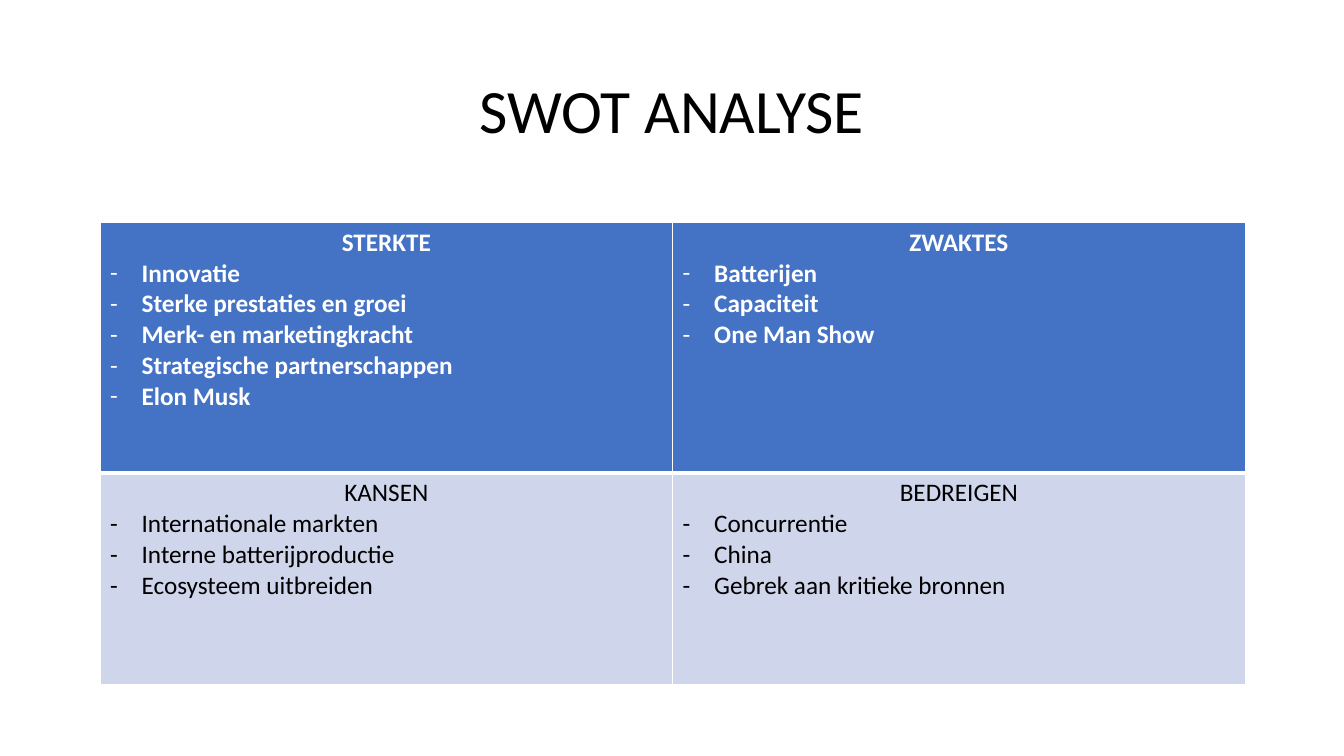
from dataclasses import dataclass

from lxml.etree import SubElement
from pptx import Presentation
from pptx.dml.color import RGBColor
from pptx.enum.text import MSO_ANCHOR, PP_ALIGN
from pptx.oxml.ns import qn
from pptx.slide import Slide
from pptx.table import _Cell
from pptx.text.text import _Paragraph
from pptx.util import Pt

COLORS = {"white": "FFFFFF", "black": "000000", "blue": "4472C4", "pale": "CFD5EA"}
FONT = "Calibri"
INDENT = Pt(22.5)
THIN, THICK = Pt(1), Pt(3)
COLUMN_WIDTH = Pt(409)


@dataclass(frozen=True)
class Quadrant:
    """One field of the SWOT grid."""
    heading: str
    points: tuple[str, ...]


@dataclass(frozen=True)
class Band:
    """One row of the SWOT grid with its look."""
    height: Pt
    fill: str
    color: str
    bold: bool
    borders: dict[str, Pt]
    quadrants: tuple[Quadrant, Quadrant]


BANDS = (
    Band(Pt(179), "blue", "white", True,
         {"lnL": THIN, "lnR": THIN, "lnT": THIN, "lnB": THICK},
         (Quadrant("STERKTE", ("Innovatie", "Sterke prestaties en groei",
                               "Merk- en marketingkracht",
                               "Strategische partnerschappen", "Elon Musk")),
          Quadrant("ZWAKTES", ("Batterijen", "Capaciteit", "One Man Show")))),
    Band(Pt(151), "pale", "black", False,
         {"lnL": THIN, "lnR": THIN, "lnT": THICK, "lnB": THIN},
         (Quadrant("KANSEN", ("Internationale markten", "Interne batterijproductie",
                              "Ecosysteem uitbreiden")),
          Quadrant("BEDREIGEN", ("Concurrentie", "China",
                                 "Gebrek aan kritieke bronnen")))),
)


def style_text(para: _Paragraph, size: Pt, color: str, bold: bool = False) -> None:
    """Set the font of a whole paragraph."""
    font = para.font
    font.name, font.size, font.bold = FONT, size, bold
    font.color.rgb = RGBColor.from_string(COLORS[color])


def add_dash(para: _Paragraph) -> None:
    """Give a paragraph a hanging dash bullet."""
    properties = para._p.get_or_add_pPr()
    properties.set("marL", str(INDENT))
    properties.set("indent", str(-INDENT))
    SubElement(properties, qn("a:buFont"), typeface=FONT)
    SubElement(properties, qn("a:buChar"), char="-")


def draw_borders(cell: _Cell, borders: dict[str, Pt]) -> None:
    """Draw white borders; call before the fill is set."""
    properties = cell._tc.get_or_add_tcPr()
    for side, width in borders.items():
        line = SubElement(properties, qn(f"a:{side}"), w=str(width))
        fill = SubElement(line, qn("a:solidFill"))
        SubElement(fill, qn("a:srgbClr"), val=COLORS["white"])


def fill_cell(cell: _Cell, quadrant: Quadrant, band: Band) -> None:
    """Write one quadrant into its cell."""
    draw_borders(cell, band.borders)
    cell.fill.solid()
    cell.fill.fore_color.rgb = RGBColor.from_string(COLORS[band.fill])
    frame = cell.text_frame
    frame.text = "\n".join((quadrant.heading, *quadrant.points))
    heading, *points = frame.paragraphs
    heading.alignment = PP_ALIGN.CENTER
    for para in points:
        add_dash(para)
    for para in frame.paragraphs:
        style_text(para, Pt(18), band.color, band.bold)


def add_title(slide: Slide, text: str) -> None:
    """Add the centred slide title."""
    box = slide.shapes.add_textbox(Pt(66), Pt(29), Pt(828), Pt(104))
    frame = box.text_frame
    frame.word_wrap = True
    frame.vertical_anchor = MSO_ANCHOR.MIDDLE
    para = frame.paragraphs[0]
    para.text = text
    para.alignment = PP_ALIGN.CENTER
    para.line_spacing = 0.9
    style_text(para, Pt(44), "black")


def add_grid(slide: Slide) -> None:
    """Add the two-by-two SWOT table."""
    height = sum(band.height for band in BANDS)
    table = slide.shapes.add_table(len(BANDS), 2, Pt(71.5), Pt(158.75),
                                   2 * COLUMN_WIDTH, height).table
    for column in table.columns:
        column.width = COLUMN_WIDTH
    for row, band in zip(table.rows, BANDS):
        row.height = band.height
        for cell, quadrant in zip(row.cells, band.quadrants):
            fill_cell(cell, quadrant, band)


deck = Presentation()
deck.slide_width, deck.slide_height = Pt(960), Pt(540)
page = deck.slides.add_slide(deck.slide_layouts[6])
add_title(page, "SWOT ANALYSE")
add_grid(page)
deck.save("out.pptx")
